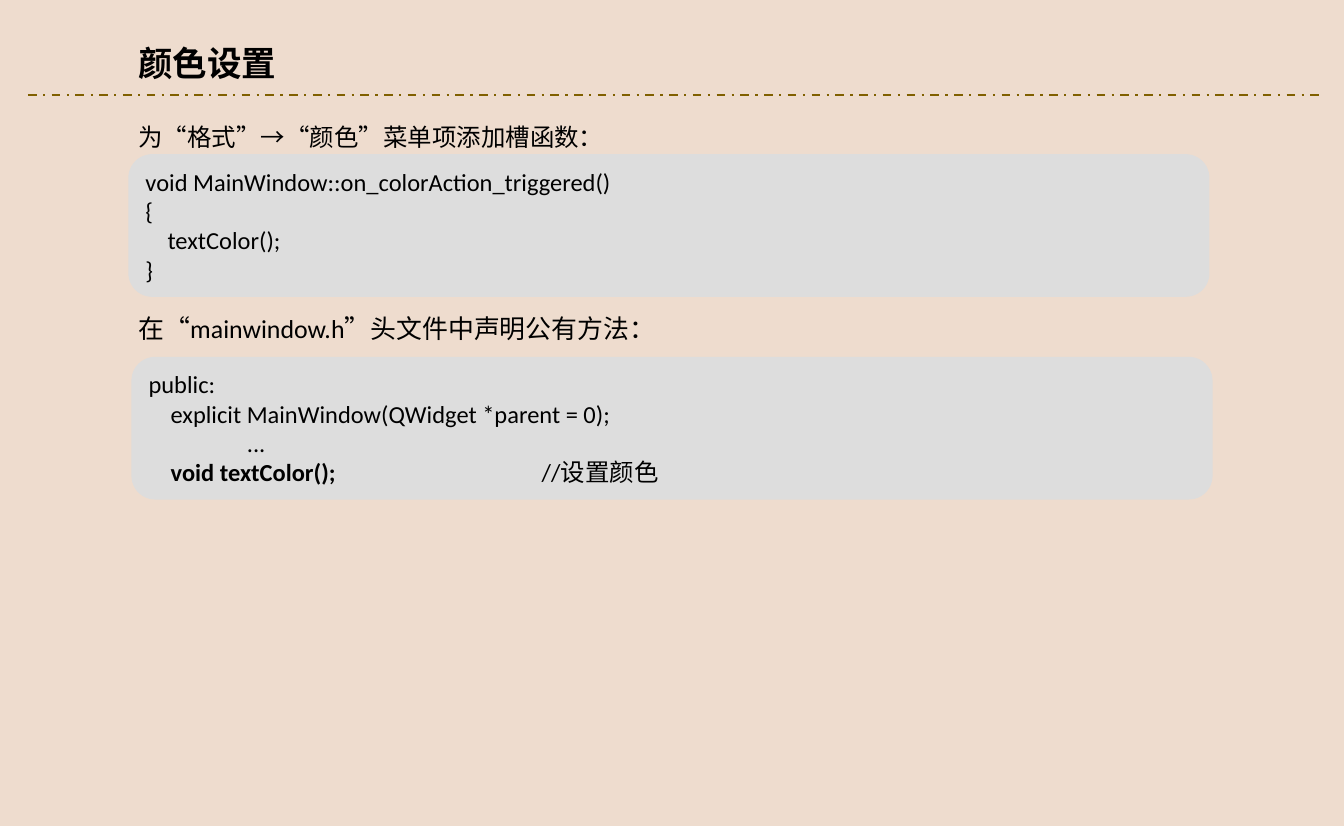
from pptx import Presentation, util as u
from pptx.dml.color import RGBColor
from pptx.enum import dml, shapes, text
from pptx.oxml.ns import qn
from lxml import etree

WIDTH, HEIGHT = u.Inches(12.99), u.Pt(575)
LEFT = 1.24
PANEL = 10.45, 1.38
TAB = 0.95


def paint(color, code):
    color.rgb = RGBColor.from_string(code)


def fill_text(frame, lines, size, bold=False):
    """Write lines, each a list of (words, bold) runs or a plain string."""
    frame.auto_size = text.MSO_AUTO_SIZE.SHAPE_TO_FIT_TEXT
    for i, line in enumerate(lines):
        para = frame.add_paragraph() if i else frame.paragraphs[0]
        para.alignment = text.PP_ALIGN.LEFT
        para._p.get_or_add_pPr().set("defTabSz", str(u.Inches(TAB)))
        para.font.name = "Calibri"
        para.font.size = u.Pt(size)
        para.font.bold = bold
        paint(para.font.color, "000000")
        for words, strong in [(line, bold)] if isinstance(line, str) else line:
            run = para.add_run()
            run.text = words
            if strong != bold:
                run.font.bold = strong


def add_rule(slide, start, end, y):
    rule = slide.shapes.add_connector(
        shapes.MSO_CONNECTOR.STRAIGHT, *map(u.Inches, (start, y, end, y)))
    paint(rule.line.color, "806000")
    rule.line.width = u.Pt(1.5)
    rule.line.dash_style = dml.MSO_LINE.DASH_DOT
    etree.SubElement(rule._element.spPr, qn("a:effectLst"))


def add_label(slide, box, words, size, bold=False):
    label = slide.shapes.add_textbox(*map(u.Inches, box))
    label.text_frame.word_wrap = False
    fill_text(label.text_frame, [words], size, bold)


def add_code(slide, box, lines):
    panel = slide.shapes.add_shape(
        shapes.MSO_SHAPE.ROUNDED_RECTANGLE, *map(u.Inches, box))
    panel.shadow.inherit = False
    panel.fill.solid()
    paint(panel.fill.fore_color, "DDDDDD")
    panel.line.fill.background()
    panel.text_frame.word_wrap = True
    fill_text(panel.text_frame, lines, 17)


def main():
    deck = Presentation()
    deck.slide_width, deck.slide_height = WIDTH, HEIGHT
    slide = deck.slides.add_slide(deck.slide_layouts[6])
    back = slide.background.fill
    back.solid()
    paint(back.fore_color, "EEDCCE")

    add_rule(slide, 0.27, 12.79, 0.92)
    add_label(slide, (LEFT, 0.36, 1.55, 0.5), "颜色设置", 24, True)
    add_label(slide, (LEFT, 1.13, 4.71, 0.39),
              "为“格式”→“颜色”菜单项添加槽函数：", 17)
    add_code(slide, (LEFT, 1.49, *PANEL), [
        "void MainWindow::on_colorAction_triggered()",
        "{",
        "    textColor();",
        "}",
    ])
    add_label(slide, (LEFT, 2.97, 5.25, 0.4),
              "在“mainwindow.h”头文件中声明公有方法：", 18)
    add_code(slide, (LEFT + 0.03, 3.45, *PANEL), [
        "public:",
        "    explicit MainWindow(QWidget *parent = 0);",
        "\t...",
        [("    ", False), ("void textColor();", True),
         ("\t\t\t//设置颜色", False)],
    ])
    deck.save("out.pptx")


if __name__ == "__main__":
    main()
